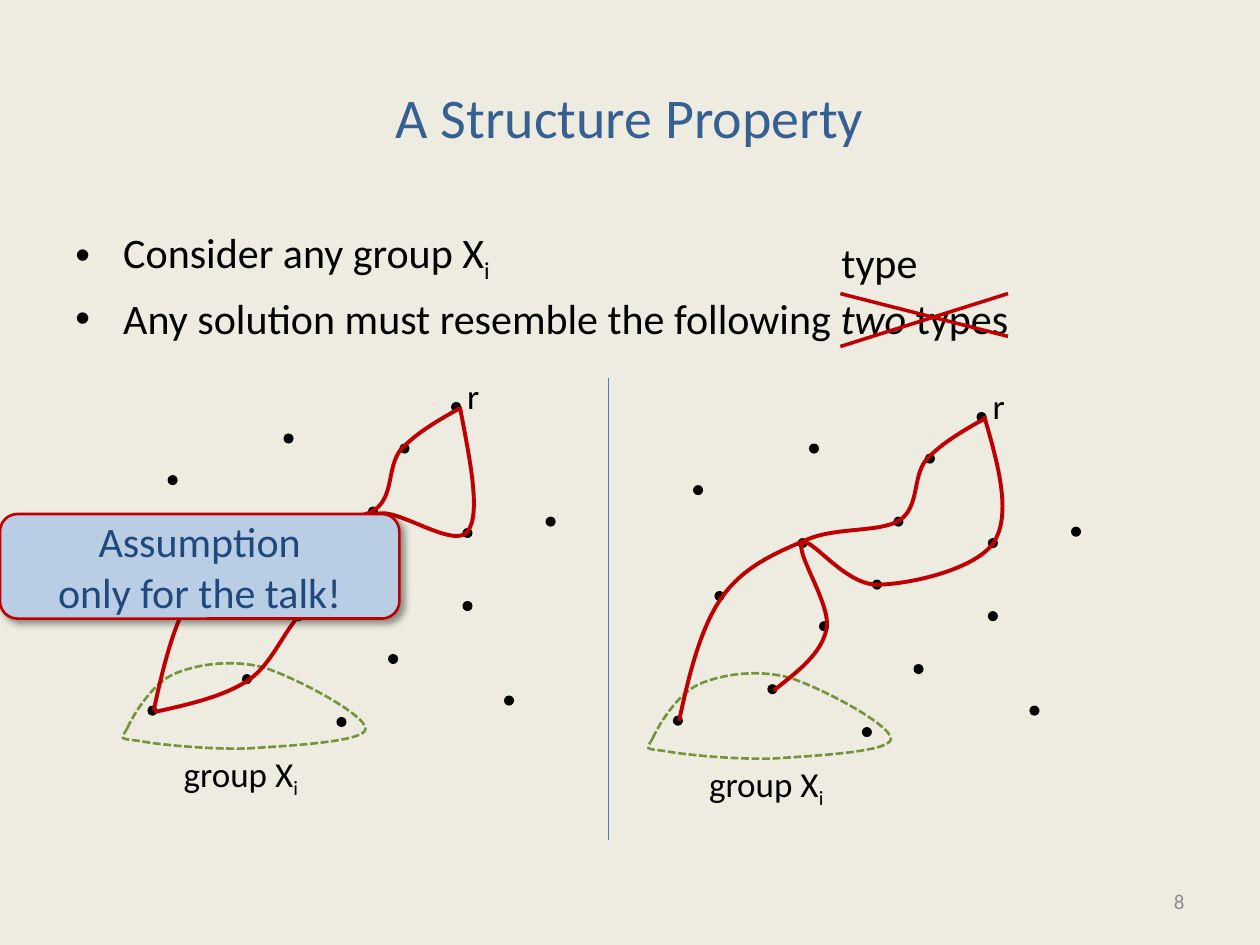
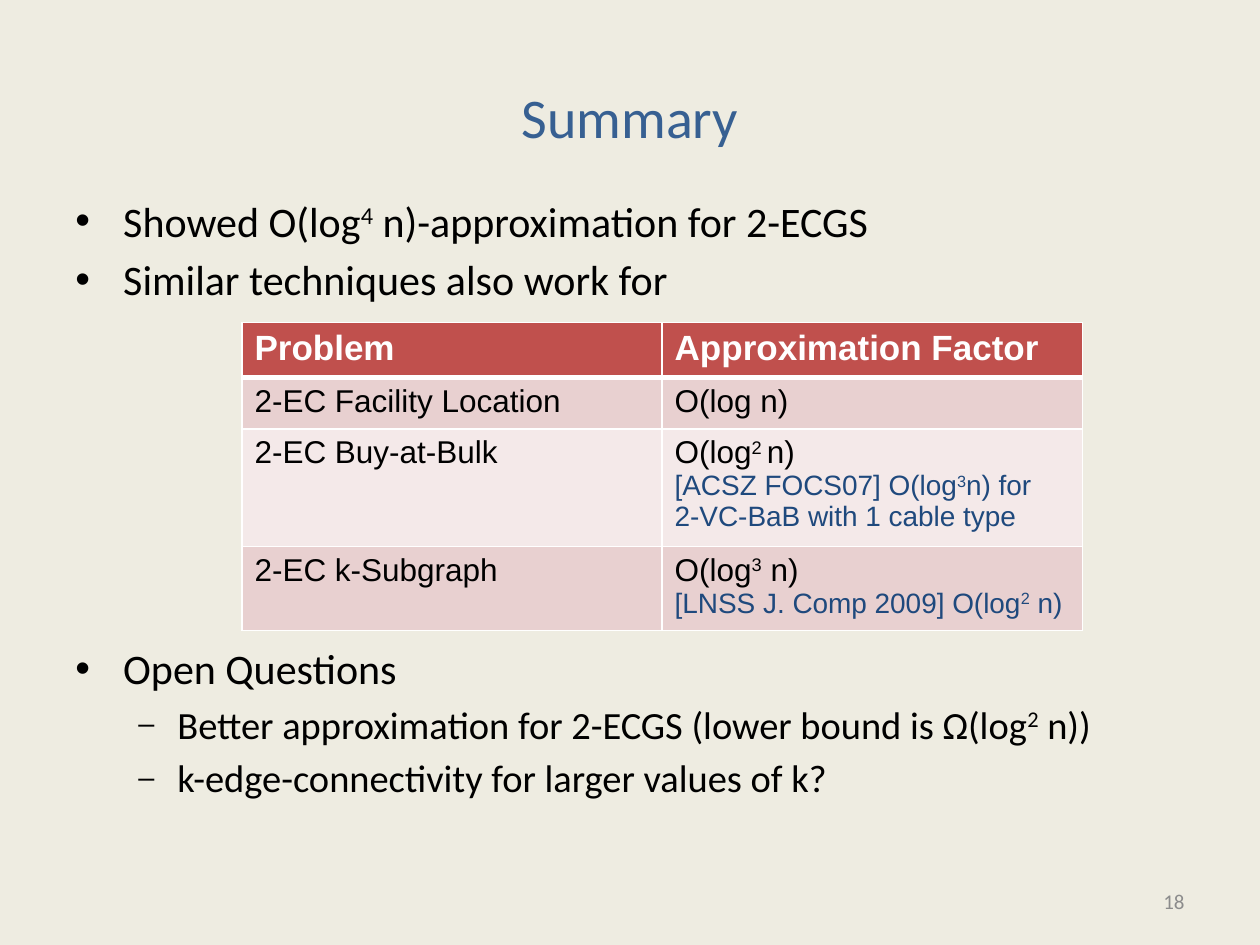
"""Build two lecture slides: a structure property with graph sketches, and a summary."""
from pptx import Presentation
from pptx.dml.color import RGBColor
from pptx.enum import dml, shapes, text
from pptx.oxml import ns, xmlchemy
from pptx.util import Inches, Pt

BEIGE = RGBColor(0xEE, 0xEC, 0xE1)
TITLE_BLUE = RGBColor(0x37, 0x60, 0x92)
NAVY = RGBColor(0x1F, 0x49, 0x7D)
PALE_BLUE = RGBColor(0xB9, 0xCD, 0xE5)
DIVIDER_BLUE = RGBColor(0x4B, 0x7E, 0xBC)
RED = RGBColor(0xC0, 0x00, 0x00)
GREEN = RGBColor(0x77, 0x93, 0x3C)
GREY = RGBColor(0x8C, 0x8C, 0x8C)
BLACK = RGBColor(0, 0, 0)
WHITE = RGBColor(0xFF, 0xFF, 0xFF)
HEADER_RED = RGBColor(0xC0, 0x50, 0x4D)
ROW_TINTS = RGBColor(0xE8, 0xD0, 0xD0), RGBColor(0xF4, 0xE9, 0xE9)

# A leading ^ raises a run, _ lowers it and * sets it in italics.
STRUCTURE_POINTS = [
    (0, ["Consider any group X", "_i"]),
    (0, ["Any solution must resemble the following ", "*two", " types"]),
]
RESULT_POINTS = [
    (0, ["Showed O(log", "^4", " n)-approximation for 2-ECGS"]),
    (0, ["Similar techniques also work for"]),
]
OPEN_POINTS = [
    (0, ["Open Questions"]),
    (1, ["Better approximation for 2-ECGS (lower bound is Ω(log", "^2", " n))"]),
    (1, ["k-edge-connectivity for larger values of k?"]),
]
LEVELS = [
    dict(size=24, margin=0.38, hang=0.38, bullet="•", percent=100),
    dict(size=22, margin=0.81, hang=0.31, bullet="–", percent=75),
]
FACTORS = [
    ("Problem", [["Approximation Factor"]]),
    ("2-EC Facility Location", [["O(log n)"]]),
    ("2-EC Buy-at-Bulk", [["O(log", "^2 ", "n)"],
                          ["[ACSZ FOCS07] O(log", "^3", "n) for"],
                          ["2-VC-BaB with 1 cable type"]]),
    ("2-EC k-Subgraph", [["O(log", "^3", " n)"],
                         ["[LNSS J. Comp 2009] O(log", "^2", " n)"]]),
]
ROW_HEIGHTS = [0.41, 0.41, 0.87, 0.63]

DOT = 0.08
SECOND_SKETCH = 4.17, 0.08
VERTICES = [
    (3.58, 3.19), (4, 5.52), (1.17, 5.6), (2.92, 4.02), (2.33, 4.85),
    (3.08, 5.19), (1.92, 5.35), (3.17, 3.52), (3.67, 4.19), (3.67, 4.77),
    (2.25, 3.44), (1.33, 3.77), (2.67, 5.69), (4.33, 4.1),
]
EXTRA_VERTICES = [(2.75, 4.52), (2.16, 4.19), (1.5, 4.61)]
GROUP_OUTLINE = [
    (1.01, 5.78), (1.05, 5.69), (1.2, 5.43), (1.38, 5.35), (1.56, 5.27),
    (1.85, 5.23), (2.1, 5.3), (2.35, 5.38), (2.92, 5.68), (2.9, 5.79),
    (2.88, 5.89), (2.27, 5.92), (1.97, 5.94), (1.67, 5.95), (1.26, 5.91),
    (1.1, 5.88), (0.94, 5.86), (0.96, 5.87), (1.01, 5.78),
]
OUTER_WALK = [
    (3.65, 3.24), (3.47, 3.34), (3.3, 3.44), (3.18, 3.57), (3.07, 3.71),
    (3.13, 3.94), (2.97, 4.05), (2.81, 4.15), (2.45, 4.1), (2.22, 4.21),
    (1.98, 4.31), (1.73, 4.42), (1.56, 4.66), (1.39, 4.9), (1.3, 5.27),
    (1.22, 5.64),
]
CYCLE_RETURN = [
    (1.23, 5.65), (1.5, 5.59), (1.77, 5.53), (1.97, 5.4), (2.16, 5.27),
    (2.25, 5.01), (2.39, 4.87), (2.53, 4.74), (2.7, 4.72), (2.8, 4.58),
    (2.9, 4.45), (2.84, 4.14), (2.99, 4.08), (3.14, 4.02), (3.6, 4.36),
    (3.71, 4.22), (3.82, 4.08), (3.73, 3.65), (3.65, 3.23),
]
BRANCH_RETURN = [
    (3.64, 3.22), (3.75, 3.6), (3.86, 3.99), (3.72, 4.22), (3.58, 4.44),
    (3.04, 4.56), (2.79, 4.56), (2.53, 4.56), (2.26, 4.17), (2.2, 4.23),
    (2.13, 4.29), (2.43, 4.72), (2.39, 4.91), (2.35, 5.11), (2.16, 5.25),
    (1.97, 5.4),
]


def element(parent, tag, **attributes):
    """Append a drawing element and return it."""
    child = xmlchemy.OxmlElement(tag)
    for key, value in attributes.items():
        child.set(key, str(value))
    parent.append(child)
    return child


def style(font, size, color, name="Calibri"):
    """Set the font's face, size and colour."""
    font.name, font.size = name, Pt(size)
    font.color.rgb = color


def write(paragraph, parts, size, color, name="Calibri"):
    """Fill a paragraph with marked runs."""
    for part in parts:
        mark = part[0] if part[0] in "^_*" else ""
        run = paragraph.add_run()
        run.text = part[len(mark):]
        style(run.font, size, color, name)
        if mark == "*":
            run.font.italic = True
        elif mark:
            run.font._element.set("baseline", "30000" if mark == "^" else "-25000")


def label(owner, parts, size, left, top, width, height):
    """Add an unwrapped label."""
    frame = owner.add_textbox(*map(Inches, (left, top, width, height))).text_frame
    frame.word_wrap = False
    frame.auto_size = text.MSO_AUTO_SIZE.SHAPE_TO_FIT_TEXT
    write(frame.paragraphs[0], parts, size, BLACK)


def bullets(slide, points, top, height):
    """Add a full-width bulleted list."""
    frame = slide.shapes.add_textbox(
        Inches(0.5), Inches(top), Inches(9), Inches(height)).text_frame
    frame.word_wrap = True
    for index, (depth, parts) in enumerate(points):
        level = LEVELS[depth]
        paragraph = frame.add_paragraph() if index else frame.paragraphs[0]
        paragraph.level = depth
        paragraph.space_before = Pt(level["size"] * 0.2)
        write(paragraph, parts, level["size"], BLACK)
        properties = paragraph._p.get_or_add_pPr()
        properties.set("marL", str(Inches(level["margin"])))
        properties.set("indent", str(-Inches(level["hang"])))
        element(properties, "a:buSzPct", val=level["percent"] * 1000)
        element(properties, "a:buFont", typeface="Arial")
        element(properties, "a:buChar", char=level["bullet"])


def line(owner, start, end, color, width):
    """Add a straight line without a shadow."""
    connector = owner.add_connector(
        shapes.MSO_CONNECTOR.STRAIGHT, *map(Inches, start + end))
    connector.line.color.rgb = color
    connector.line.width = Pt(width)
    element(connector._element.spPr, "a:effectLst")


def curve(owner, points, color, width, closed=False):
    """Draw cubic curves through a start and triples of control points."""
    start, *controls = [tuple(map(Inches, point)) for point in points]
    builder = owner.build_freeform(*start)
    builder.add_line_segments(controls, close=closed)
    shape = builder.convert_to_shape()
    shape.shadow.inherit = False
    shape.fill.background()
    shape.line.color.rgb = color
    shape.line.width = Pt(width)
    if closed:
        shape.line.dash_style = dml.MSO_LINE.SQUARE_DOT
    segments = list(shape._element.iter(ns.qn("a:lnTo")))
    for first in range(0, len(segments), 3):
        bezier = xmlchemy.OxmlElement("a:cubicBezTo")
        segments[first].addprevious(bezier)
        for segment in segments[first:first + 3]:
            bezier.append(segment[0])
            segment.getparent().remove(segment)


def sketch(slide, vertices, return_walk, dx=0, dy=0):
    """Draw one solution type, moved by dx and dy."""
    def move(points):
        return [(x + dx, y + dy) for x, y in points]

    owner = slide.shapes.add_group_shape().shapes
    for x, y in move(vertices):
        dot = owner.add_shape(
            shapes.MSO_SHAPE.OVAL, *map(Inches, (x, y, DOT, DOT)))
        dot.shadow.inherit = False
        dot.fill.solid()
        dot.fill.fore_color.rgb = BLACK
        dot.line.fill.background()
    curve(owner, move(GROUP_OUTLINE), GREEN, 1.5, closed=True)
    label(owner, ["group X", "_i"], 20, 1.36 + dx, 5.92 + dy, 1.14, 0.44)
    label(owner, ["r"], 20, 3.61 + dx, 2.92 + dy, 0.3, 0.44)
    for walk in (return_walk, OUTER_WALK):
        curve(owner, move(walk), RED, 2.25)


def correction(slide):
    """Strike out the words 'two types' and write the new word above."""
    owner = slide.shapes.add_group_shape().shapes
    line(owner, (6.67, 2.33), (8, 2.67), RED, 2)
    line(owner, (6.67, 2.75), (8, 2.33), RED, 2)
    label(owner, ["type"], 24, 6.58, 1.83, 0.81, 0.5)


def callout(slide):
    """Add the shadowed note about the assumption."""
    note = slide.shapes.add_shape(
        shapes.MSO_SHAPE.ROUNDED_RECTANGLE, *map(Inches, (0, 4.08, 3.17, 0.83)))
    note.fill.solid()
    note.fill.fore_color.rgb = PALE_BLUE
    note.line.color.rgb = RED
    note.line.width = Pt(1.5)
    note.shadow.inherit = False
    effects = note._element.spPr.find(ns.qn("a:effectLst"))
    shadow = element(effects, "a:outerShdw", blurRad=Pt(4), dist=Pt(3),
                     dir=45 * 60000, algn="tl", rotWithShape=0)
    element(element(shadow, "a:srgbClr", val="000000"), "a:alpha", val=40000)
    frame = note.text_frame
    frame.vertical_anchor = text.MSO_ANCHOR.MIDDLE
    frame.text = "Assumption\nonly for the talk!"
    for paragraph in frame.paragraphs:
        paragraph.alignment = text.PP_ALIGN.CENTER
        style(paragraph.runs[0].font, 24, NAVY)


def border(cell, sides, width):
    """Draw white cell borders on the given sides."""
    for position, side in enumerate(sides):
        edge = xmlchemy.OxmlElement(f"a:ln{side}")
        edge.set("w", str(Pt(3 if side == "B" and width == 3 else 1)))
        fill = element(edge, "a:solidFill")
        element(fill, "a:srgbClr", val=str(WHITE))
        cell._tc.get_or_add_tcPr().insert(position, edge)


def factor_table(slide):
    """Add the table of approximation factors."""
    table = slide.shapes.add_table(
        len(FACTORS), 2, Inches(1.92), Inches(2.56), Inches(6.67),
        Inches(sum(ROW_HEIGHTS))).table
    for row, (problem, factor) in enumerate(FACTORS):
        table.rows[row].height = Inches(ROW_HEIGHTS[row])
        for column, lines in enumerate(([[problem]], factor)):
            cell = table.cell(row, column)
            cell.fill.solid()
            cell.fill.fore_color.rgb = ROW_TINTS[(row - 1) % 2] if row else HEADER_RED
            border(cell, "LRTB", 1 if row else 3)
            for index, parts in enumerate(lines):
                frame = cell.text_frame
                paragraph = frame.add_paragraph() if index else frame.paragraphs[0]
                size, color = (16, NAVY) if index else (18, BLACK) if row else (20, WHITE)
                write(paragraph, parts, size, color, "Arial")
                for run in paragraph.runs:
                    run.font.bold = row == 0


def new_slide(deck, heading, number):
    """Add a slide with its title and page number."""
    slide = deck.slides.add_slide(deck.slide_layouts[5])
    title = slide.shapes.title
    title.left, title.top, title.width, title.height = map(Inches, (0.5, 0.3, 9, 1.25))
    title.text_frame.text = heading
    title.text_frame.vertical_anchor = text.MSO_ANCHOR.MIDDLE
    heading_line = title.text_frame.paragraphs[0]
    heading_line.alignment = text.PP_ALIGN.CENTER
    style(heading_line.runs[0].font, 32, TITLE_BLUE)
    page = slide.shapes.add_textbox(*map(Inches, (7.17, 6.95, 2.33, 0.4))).text_frame
    page.word_wrap = True
    page.vertical_anchor = text.MSO_ANCHOR.MIDDLE
    page.text = str(number)
    page.paragraphs[0].alignment = text.PP_ALIGN.RIGHT
    style(page.paragraphs[0].runs[0].font, 12, GREY)
    return slide


def main():
    """Build and save the deck."""
    deck = Presentation()
    deck.slide_width, deck.slide_height = Inches(10), Inches(7.5)
    background = deck.slide_master.background.fill
    background.solid()
    background.fore_color.rgb = BEIGE

    structure = new_slide(deck, "A Structure Property", 8)
    bullets(structure, STRUCTURE_POINTS, 1.75, 4.95)
    sketch(structure, VERTICES, CYCLE_RETURN)
    sketch(structure, VERTICES + EXTRA_VERTICES, BRANCH_RETURN, *SECOND_SKETCH)
    line(structure.shapes, (4.83, 3), (4.83, 6.67), DIVIDER_BLUE, 0.75)
    correction(structure)
    callout(structure)

    summary = new_slide(deck, "Summary", 18)
    bullets(summary, RESULT_POINTS, 1.5, 1)
    factor_table(summary)
    bullets(summary, OPEN_POINTS, 5.05, 1.87)
    deck.save("out.pptx")


if __name__ == "__main__":
    main()
